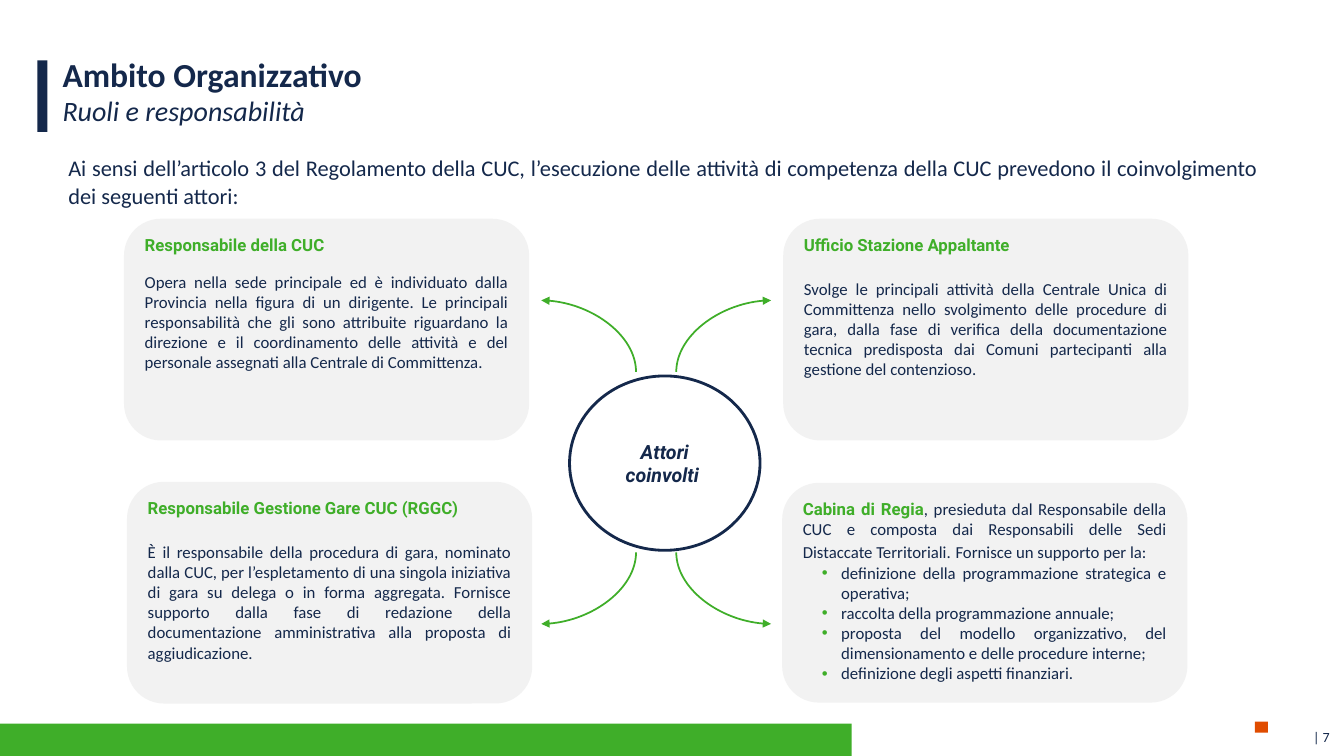
from pptx import Presentation
from pptx.dml.color import RGBColor
from pptx.enum.shapes import MSO_CONNECTOR, MSO_SHAPE
from pptx.enum.text import MSO_ANCHOR, MSO_AUTO_SIZE, PP_ALIGN
from pptx.oxml.ns import qn
from pptx.util import Inches, Pt
from lxml.etree import SubElement

NAVY, GREEN, GREY, ORANGE, WHITE = "14284B", "3FAE29", "F2F2F2", "E04C00", "FFFFFF"


def add_box(kind, x, y, w, h, fill):
    sp = s.shapes.add_shape(kind, Inches(x), Inches(y), Inches(w), Inches(h))
    sp.shadow.inherit = False
    sp.fill.solid()
    sp.fill.fore_color.rgb = RGBColor.from_string(fill)
    sp.line.fill.background()
    return sp


def add_run(p, text, size, color=NAVY, font="Calibri", bold=False, italic=False):
    r = p.add_run()
    r.text = text
    r.font.size = Pt(size)
    r.font.name = font
    r.font.bold = bold
    r.font.italic = italic
    r.font.color.rgb = RGBColor.from_string(color)


prs = Presentation()
prs.slide_width, prs.slide_height = Inches(40 / 3), Inches(7.5)
s = prs.slides.add_slide(prs.slide_layouts[5])

add_box(MSO_SHAPE.RECTANGLE, 0, 7.18, 8.45, 0.32, GREEN)
add_box(MSO_SHAPE.RECTANGLE, 0.37, 0.6, 0.1, 0.71, NAVY)
add_box(MSO_SHAPE.RECTANGLE, 12.45, 7.16, 0.13, 0.11, ORANGE)

title = s.shapes.title
title.left, title.top = Inches(0.58), Inches(0.53)
title.width, title.height = Inches(12), Inches(0.39)
tf = title.text_frame
tf.auto_size = MSO_AUTO_SIZE.NONE
tf.vertical_anchor = MSO_ANCHOR.TOP
tf.margin_left = tf.margin_right = Inches(0.04)
tf.margin_top = tf.margin_bottom = 0
p = tf.paragraphs[0]
p.alignment = PP_ALIGN.LEFT
add_run(p, "Ambito Organizzativo", 24, bold=True)
p.add_line_break()
add_run(p, "Ruoli e responsabilità", 20, italic=True)

texts = [
    (0.58, 1.47, 12, 0.65, PP_ALIGN.JUSTIFY, 16, 20,
     "Ai sensi dell’articolo 3 del Regolamento della CUC, l’esecuzione delle attività di competenza "
     "della CUC prevedono il coinvolgimento dei seguenti attori:"),
    (10.13, 7.18, 3.16, 0.27, PP_ALIGN.RIGHT, 10, 12, "| 7"),
]
for x, y, w, h, align, size, spacing, text in texts:
    tf = s.shapes.add_textbox(Inches(x), Inches(y), Inches(w), Inches(h)).text_frame
    tf.word_wrap = True
    p = tf.paragraphs[0]
    p.alignment = align
    p.line_spacing = Pt(spacing)
    add_run(p, text, size)

cards = [
    (1.23, 2.17, 2.2, "Responsabile della CUC", 12,
     "Opera nella sede principale ed è individuato dalla Provincia nella figura di un dirigente. "
     "Le principali responsabilità che gli sono attribuite riguardano la direzione e il coordinamento "
     "delle attività e del personale assegnati alla Centrale di Committenza."),
    (1.26, 4.78, 2.2, "Responsabile Gestione Gare CUC (RGGC)", 17,
     "È il responsabile della procedura di gara, nominato dalla CUC, per l’espletamento di una singola "
     "iniziativa di gara su delega o in forma aggregata. Fornisce supporto dalla fase di redazione della "
     "documentazione amministrativa alla proposta di aggiudicazione."),
    (7.77, 2.17, 2.2, "Ufficio Stazione Appaltante", 17,
     "Svolge le principali attività della Centrale Unica di Committenza nello svolgimento delle procedure "
     "di gara, dalla fase di verifica della documentazione tecnica predisposta dai Comuni partecipanti "
     "alla gestione del contenzioso."),
    (7.76, 4.79, 2.18, "Cabina di Regia", 0, ""),
]
for x, y, h, heading, gap, body in cards:
    tf = add_box(MSO_SHAPE.ROUNDED_RECTANGLE, x, y, 4.02, h, GREY).text_frame
    tf.vertical_anchor = MSO_ANCHOR.TOP
    p = tf.paragraphs[0]
    p.alignment = PP_ALIGN.JUSTIFY
    add_run(p, heading, 12, GREEN, "Roboto", bold=True)
    if body:
        p = tf.add_paragraph()
        p.alignment = PP_ALIGN.JUSTIFY
        p.space_before = Pt(gap)
        add_run(p, body, 12)

add_run(p, ", presieduta dal Responsabile della CUC e composta dai Responsabili delle Sedi "
        "Distaccate Territoriali.", 12)
add_run(p, " ", 14)
add_run(p, "Fornisce un supporto per la: ", 12)
duties = [
    "definizione della programmazione strategica e operativa;",
    "raccolta della programmazione annuale;",
    "proposta del modello organizzativo, del dimensionamento e delle procedure interne;",
    "definizione degli aspetti finanziari.",
]
for duty in duties:
    p = tf.add_paragraph()
    p.alignment = PP_ALIGN.JUSTIFY
    pPr = p._p.get_or_add_pPr()
    pPr.set("marL", str(Inches(0.38)))
    pPr.set("indent", str(Inches(-0.19)))
    SubElement(SubElement(pPr, qn("a:buClr")), qn("a:srgbClr"), val=GREEN)
    SubElement(pPr, qn("a:buFont"), typeface="Arial")
    SubElement(pPr, qn("a:buChar"), char="•")
    add_run(p, duty, 12)

hub = add_box(MSO_SHAPE.FLOWCHART_CONNECTOR, 5.65, 3.73, 1.89, 1.73, WHITE)
hub.line.color.rgb = RGBColor.from_string(NAVY)
hub.line.width = Pt(2)
tf = hub.text_frame
tf.vertical_anchor = MSO_ANCHOR.MIDDLE
p = tf.paragraphs[0]
p.alignment = PP_ALIGN.CENTER
add_run(p, "Attori coinvolti ", 14, NAVY, "Roboto", bold=True, italic=True)

for card_x, hub_x in [(5.37, 6.31), (7.65, 6.71)]:
    for card_y, hub_y in [(2.98, 3.69), (6.19, 5.48)]:
        c = s.shapes.add_connector(MSO_CONNECTOR.CURVE, Inches(card_x), Inches(card_y),
                                   Inches(hub_x), Inches(hub_y))
        c.line.color.rgb = RGBColor.from_string(GREEN)
        c.line.width = Pt(1.25)
        spPr = c._element.spPr
        spPr.find(qn("a:prstGeom")).set("prst", "curvedConnector2")
        SubElement(spPr.find(qn("a:ln")), qn("a:headEnd"), type="triangle")
        SubElement(spPr, qn("a:effectLst"))

prs.save("out.pptx")
